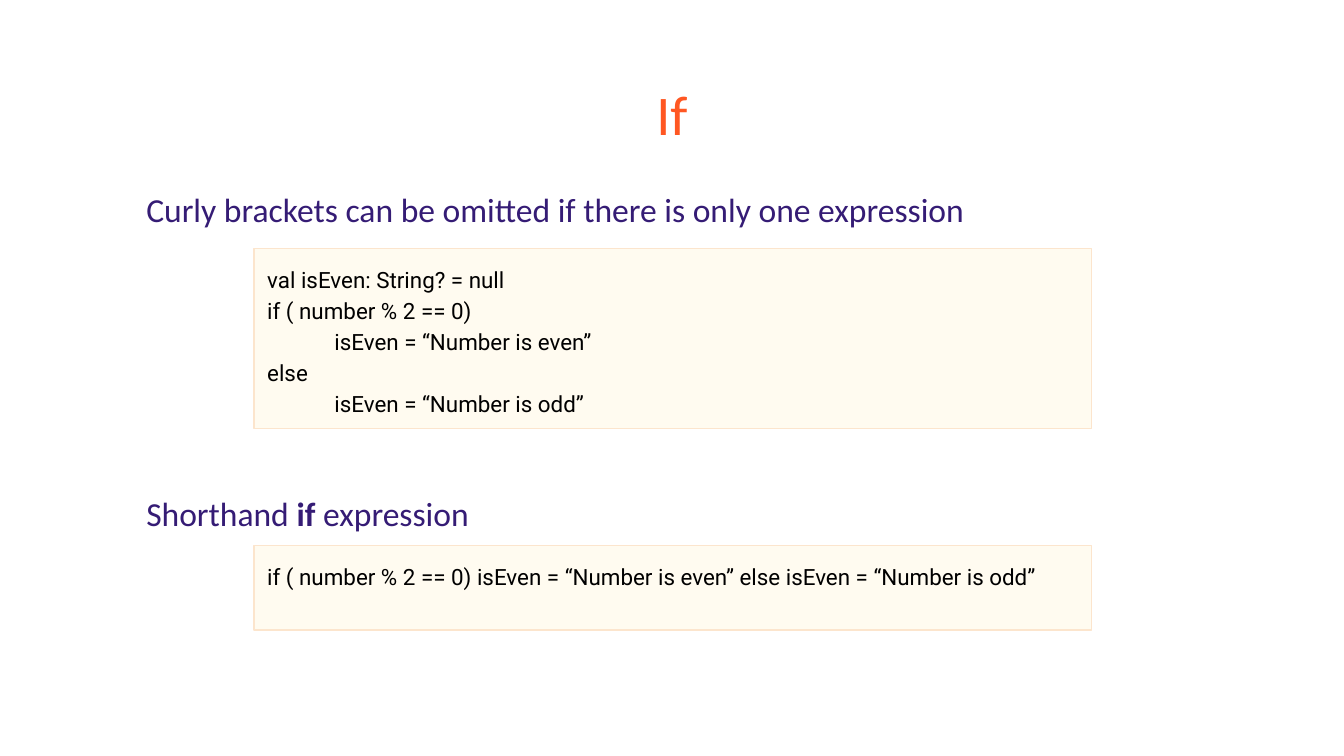
import dataclasses
import typing

import pptx
import pptx.dml.color
import pptx.enum.shapes
import pptx.enum.text
import pptx.util

Inches = pptx.util.Inches
Pt = pptx.util.Pt
CELL = 0.1  # inches per grid column and row
COLUMNS, ROWS = 100, 56.25


@dataclasses.dataclass(frozen=True)
class Theme:
    title: typing.ClassVar[dict] = {"name": "Calibri", "size": Pt(30), "color": "FF5722"}
    body: typing.ClassVar[dict] = {"name": "Calibri", "size": Pt(18), "color": "351C75"}
    code: typing.ClassVar[dict] = {"name": "Roboto", "size": Pt(12), "color": "000000"}
    code_fill: str = "FFFBF0"
    code_line: str = "FCE5CD"
    line_spacing: float = 1.15
    code_indent: float = 5  # columns


@dataclasses.dataclass(frozen=True)
class Area:
    column: float
    row: float
    columns: float
    rows: float

    def lengths(self) -> list:
        cells = (self.column, self.row, self.columns, self.rows)
        return [Inches(cell * CELL) for cell in cells]


@dataclasses.dataclass(frozen=True)
class CodeBlock:
    row: float
    rows: float
    lines: tuple  # (indent level, text)


THEME = Theme()
CODE_BLOCKS = (
    CodeBlock(18.5, 13.4, (
        (0, "val isEven: String? = null"),
        (0, "if ( number % 2 == 0)"),
        (1, "isEven = “Number is even”"),
        (0, "else"),
        (1, "isEven = “Number is odd”"),
    )),
    CodeBlock(40.6, 6.3, (
        (0, "if ( number % 2 == 0) isEven = “Number is even” else isEven = “Number is odd”"),
    )),
)
# Each statement: space before, then (text, bold) spans
STATEMENTS = (
    (0, (("Curly brackets can be omitted if there is only one expression", False),)),
    (138, (("Shorthand ", False), ("if", True), (" expression", False))),
)


def set_values(target, values: dict) -> None:
    for name, value in values.items():
        setattr(target, name, value)


def rgb(color: str):
    return pptx.dml.color.RGBColor.from_string(color)


def add_span(para, text: str, style: dict, bold: bool = False) -> None:
    span = para.add_run()
    span.text = text
    set_values(span.font, {"name": style["name"], "size": style["size"], "bold": bold})
    span.font.color.rgb = rgb(style["color"])


def prepare_frame(box):
    frame = box.text_frame
    margins = {f"margin_{side}": Inches(CELL) for side in ("left", "top", "right", "bottom")}
    set_values(frame, margins | {
        "word_wrap": True,
        "auto_size": pptx.enum.text.MSO_AUTO_SIZE.NONE,
        "vertical_anchor": pptx.enum.text.MSO_ANCHOR.TOP,
    })
    return frame


def next_para(frame, index: int):
    para = frame.add_paragraph() if index else frame.paragraphs[0]
    set_values(para, {"alignment": pptx.enum.text.PP_ALIGN.LEFT,
                      "line_spacing": THEME.line_spacing})
    return para


def format_title(page, text: str, area: Area) -> None:
    box = page.shapes.title
    set_values(box, dict(zip(("left", "top", "width", "height"), area.lengths())))
    para = prepare_frame(box).paragraphs[0]
    para.alignment = pptx.enum.text.PP_ALIGN.CENTER
    add_span(para, text, THEME.title)


def add_statements(page, area: Area) -> None:
    frame = prepare_frame(page.shapes.add_textbox(*area.lengths()))
    for index, (space, spans) in enumerate(STATEMENTS):
        para = next_para(frame, index)
        para.space_before = Pt(space)
        for text, bold in spans:
            add_span(para, text, THEME.body, bold)


def add_code_block(page, block: CodeBlock) -> None:
    area = Area(18.9, block.row, 62.3, block.rows)
    box = page.shapes.add_shape(pptx.enum.shapes.MSO_SHAPE.RECTANGLE, *area.lengths())
    box.shadow.inherit = False
    box.fill.solid()
    box.fill.fore_color.rgb = rgb(THEME.code_fill)
    box.line.color.rgb = rgb(THEME.code_line)
    box.line.width = Pt(0.75)
    frame = prepare_frame(box)
    for index, (level, text) in enumerate(block.lines):
        para = next_para(frame, index)
        if level:
            indent = Inches(level * THEME.code_indent * CELL)
            para._p.get_or_add_pPr().set("indent", str(indent))
        add_span(para, text, THEME.code)


def main() -> None:
    deck = pptx.Presentation()
    set_values(deck, {"slide_width": Inches(COLUMNS * CELL),
                      "slide_height": Inches(ROWS * CELL)})
    page = deck.slides.add_slide(deck.slide_layouts.get_by_name("Title Only"))

    # Title and statements
    format_title(page, "If", Area(3.4, 4.9, 93.2, 6.3))
    add_statements(page, Area(9.9, 12.6, 80, 37.4))

    # Code examples
    for block in CODE_BLOCKS:
        add_code_block(page, block)

    deck.save("out.pptx")


if __name__ == "__main__":
    main()
